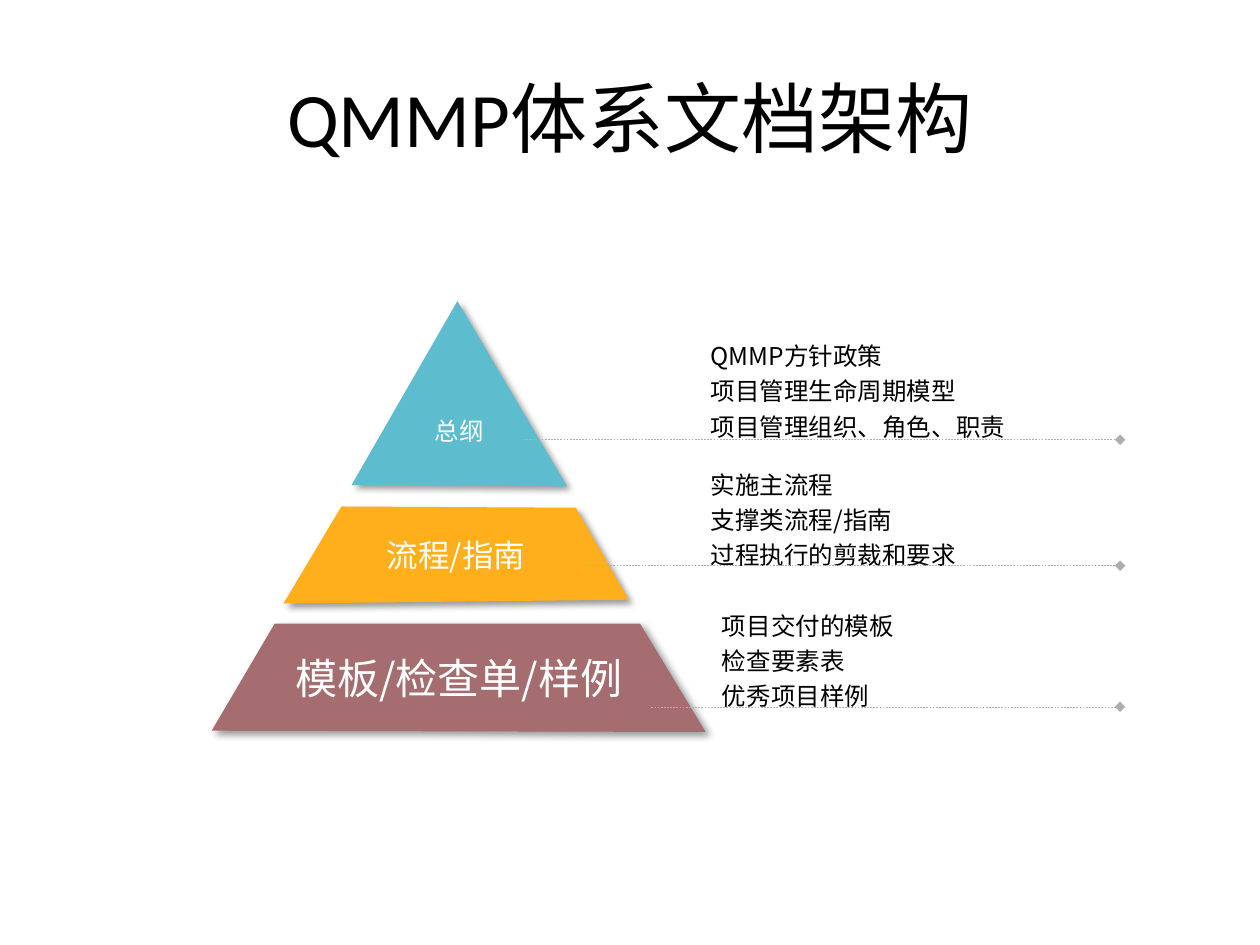
from lxml import etree
from pptx import Presentation
from pptx.dml.color import RGBColor
from pptx.enum.dml import MSO_LINE
from pptx.enum.shapes import MSO_CONNECTOR
from pptx.enum.text import MSO_ANCHOR, PP_ALIGN
from pptx.oxml.ns import qn
from pptx.util import Inches, Pt

DASH = MSO_LINE.DASH
STRAIGHT = MSO_CONNECTOR.STRAIGHT
MIDDLE = MSO_ANCHOR.MIDDLE
CENTER, JUSTIFY = PP_ALIGN.CENTER, PP_ALIGN.JUSTIFY
TITLE_ONLY = 5
CJK_FONT = "Noto Sans CJK SC"
COLORS = {
    "top": "5EBCCF",
    "middle": "FFAF1B",
    "base": "A66D70",
    "leader": "AEAEAE",
    "light": "FFFFFF",
    "dark": "000000",
}
LEADER_END = 8.89

# name, outline, label, label size, label top inset
TIERS = [
    ("top", [(2.79, 3.85), (3.63, 2.39), (4.5, 3.86)], "总纲", 14, 0.63),
    ("middle", [(2.25, 4.79), (2.71, 4.02), (4.57, 4.03), (4.99, 4.76)],
     "流程/指南", 18, 0.05),
    ("base", [(1.68, 5.8), (2.18, 4.95), (5.08, 4.95), (5.6, 5.81)],
     "模板/检查单/样例", 24, 0.05),
]
# left, top, lines, leader start, leader height
NOTES = [
    (5.64, 2.73, ["QMMP方针政策", "项目管理生命周期模型", "项目管理组织、角色、职责"],
     4.15, 3.49),
    (5.64, 3.75, ["实施主流程", "支撑类流程/指南", "过程执行的剪裁和要求"],
     4.67, 4.49),
    (5.73, 4.87, ["项目交付的模板", "检查要素表", "优秀项目样例"],
     5.17, 5.61),
]


def color(name):
    return RGBColor.from_string(COLORS[name])


def add_run(paragraph, text, size, color_name, font=CJK_FONT):
    run = paragraph.add_run()
    run.text = text
    run.font.size = Pt(size)
    run.font.name = font
    run.font.color.rgb = color(color_name)
    east_asian = etree.SubElement(run.font._element, qn("a:ea"))
    east_asian.set("typeface", CJK_FONT)


def add_shadow(shape):
    """Give the shape a soft shadow towards its lower right."""
    shape.shadow.inherit = False
    effects = shape._element.spPr.find(qn("a:effectLst"))
    shadow = etree.SubElement(
        effects, qn("a:outerShdw"), blurRad=str(Pt(4)), dist=str(Pt(3)),
        dir=str(45 * 60000), algn="tl", rotWithShape="0")
    tint = etree.SubElement(shadow, qn("a:srgbClr"), val=COLORS["dark"])
    etree.SubElement(tint, qn("a:alpha"), val="40000")


def add_tier(slide, name, outline, label, size, top_inset):
    points = [(Inches(x), Inches(y)) for x, y in outline]
    builder = slide.shapes.build_freeform(*points[0])
    builder.add_line_segments(points[1:], close=True)
    shape = builder.convert_to_shape()
    shape.fill.solid()
    shape.fill.fore_color.rgb = color(name)
    shape.line.fill.background()
    add_shadow(shape)
    frame = shape.text_frame
    frame.word_wrap = True
    frame.vertical_anchor = MIDDLE
    frame.margin_top = Inches(top_inset)
    paragraph = frame.paragraphs[0]
    paragraph.alignment = CENTER
    add_run(paragraph, label, size, "light")


def add_note(slide, left, top, lines):
    box = slide.shapes.add_textbox(
        Inches(left), Inches(top), Inches(3.25), Inches(0.7))
    frame = box.text_frame
    frame.word_wrap = True
    frame.vertical_anchor = MIDDLE
    frame.margin_left = frame.margin_right = 0
    frame.margin_top = frame.margin_bottom = 0
    for index, line in enumerate(lines):
        paragraph = frame.add_paragraph() if index else frame.paragraphs[0]
        paragraph.alignment = JUSTIFY
        paragraph.line_spacing = 1.2
        add_run(paragraph, line, 14, "dark")


def add_leader(slide, start, height):
    """Draw a dashed line that ends in a diamond."""
    leader = slide.shapes.add_connector(
        STRAIGHT, Inches(start), Inches(height),
        Inches(LEADER_END), Inches(height))
    leader.line.color.rgb = color("leader")
    leader.line.width = Pt(0.25)
    leader.line.dash_style = DASH
    properties = leader._element.spPr
    etree.SubElement(properties.find(qn("a:ln")), qn("a:tailEnd"),
                     type="diamond")
    etree.SubElement(properties, qn("a:effectLst"))


def set_title(slide, text):
    title = slide.shapes.title
    title.left, title.top = Inches(0.5), Inches(0.3)
    title.width, title.height = Inches(9), Inches(1.25)
    title.text_frame.vertical_anchor = MIDDLE
    paragraph = title.text_frame.paragraphs[0]
    paragraph.alignment = CENTER
    add_run(paragraph, text, 44, "dark", font="Calibri")


def main():
    presentation = Presentation()
    presentation.slide_width = Inches(10)
    presentation.slide_height = Inches(7.5)
    slide = presentation.slides.add_slide(
        presentation.slide_layouts[TITLE_ONLY])
    set_title(slide, "QMMP体系文档架构")
    for tier in TIERS:
        add_tier(slide, *tier)
    for left, top, lines, start, height in NOTES:
        add_note(slide, left, top, lines)
        add_leader(slide, start, height)
    presentation.save("out.pptx")


if __name__ == "__main__":
    main()
